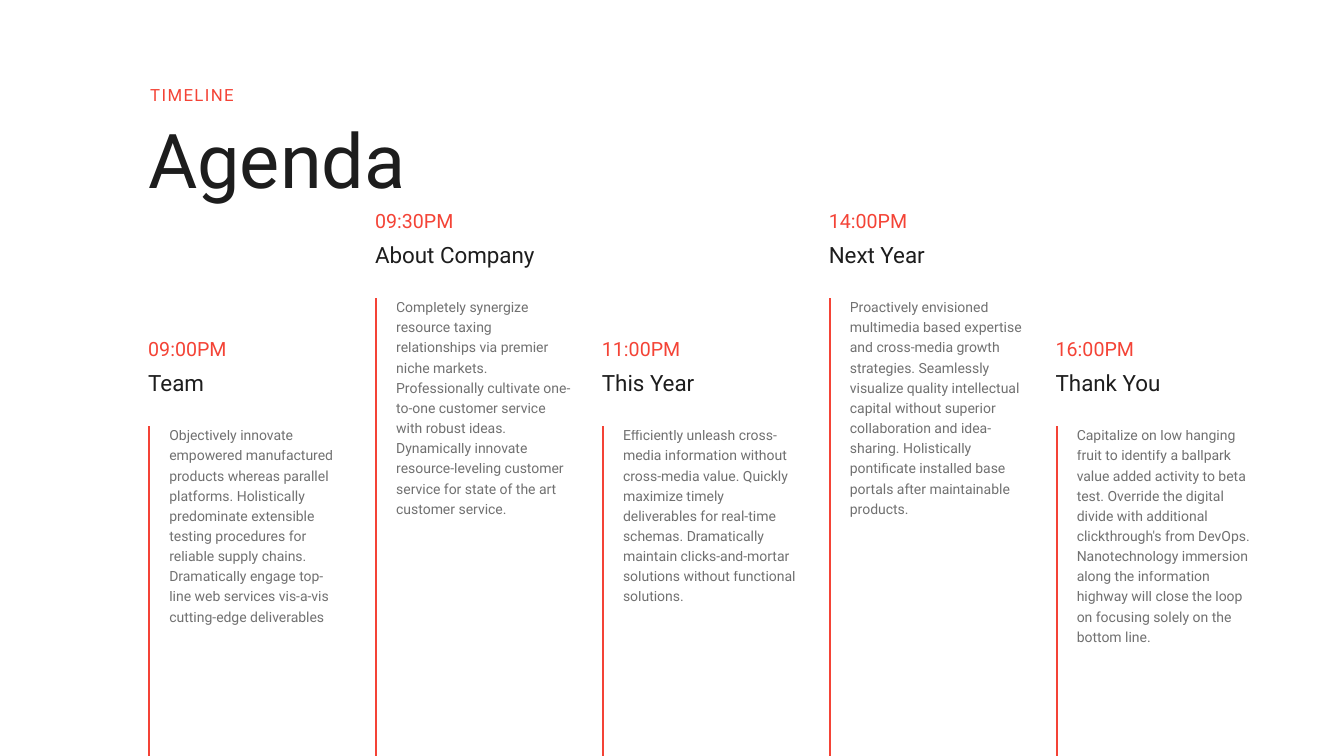
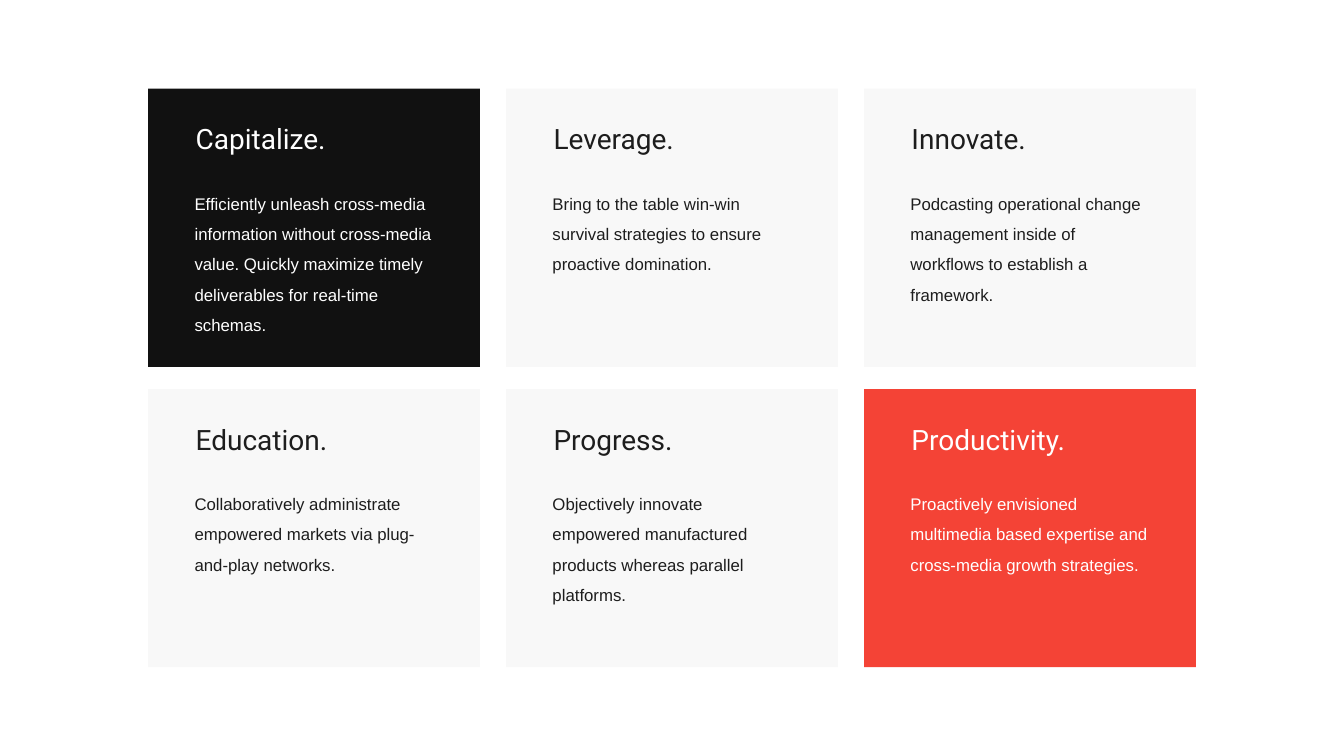
from lxml.etree import SubElement
from pptx import Presentation
from pptx.dml.color import RGBColor
from pptx.enum.shapes import MSO_CONNECTOR, MSO_SHAPE
from pptx.enum.text import MSO_ANCHOR as Anchor, MSO_AUTO_SIZE as AutoSize, PP_ALIGN as Align
from pptx.oxml.ns import qn
from pptx.util import Inches, Pt

RED = RGBColor(0xF4, 0x43, 0x36)
INK = RGBColor(0x1D, 0x1D, 0x1D)
GREY = RGBColor(0x34, 0x34, 0x34)
BLACK = RGBColor(0x11, 0x11, 0x11)
PALE = RGBColor(0xF8, 0xF8, 0xF8)
WHITE = RGBColor(0xFF, 0xFF, 0xFF)
HEADING_FONT = "Roboto"
BODY_FONT = "Arial"
SLIDE_WIDTH, SLIDE_HEIGHT = 13.33, 7.5
LEFT, TOP = 1.47, 0.88

AGENDA = [
    ("09:00PM", "Team",
     "Objectively innovate empowered manufactured products whereas parallel platforms. "
     "Holistically predominate extensible testing procedures for reliable supply chains. "
     "Dramatically engage top-line web services vis-a-vis cutting-edge deliverables"),
    ("09:30PM", "About Company",
     "Completely synergize resource taxing relationships via premier niche markets. "
     "Professionally cultivate one-to-one customer service with robust ideas. "
     "Dynamically innovate resource-leveling customer service for state of the art "
     "customer service."),
    ("11:00PM", "This Year",
     "Efficiently unleash cross-media information without cross-media value. "
     "Quickly maximize timely deliverables for real-time schemas. "
     "Dramatically maintain clicks-and-mortar solutions without functional solutions."),
    ("14:00PM", "Next Year",
     "Proactively envisioned multimedia based expertise and cross-media growth strategies. "
     "Seamlessly visualize quality intellectual capital without superior collaboration and "
     "idea-sharing. Holistically pontificate installed base portals after maintainable products."),
    ("16:00PM", "Thank You",
     "Capitalize on low hanging fruit to identify a ballpark value added activity to beta test. "
     "Override the digital divide with additional clickthrough's from DevOps. "
     "Nanotechnology immersion along the information highway will close the loop on focusing "
     "solely on the bottom line."),
]
COLUMN_STEP = 2.25
COLUMN_TOPS = (3.38, 2.11)

CARDS = [
    ("Capitalize.",
     "Efficiently unleash cross-media information without cross-media value. "
     "Quickly maximize timely deliverables for real-time schemas.", BLACK, WHITE),
    ("Leverage.",
     "Bring to the table win-win survival strategies to ensure proactive domination.", PALE, INK),
    ("Innovate.",
     "Podcasting operational change management inside of workflows to establish a framework.",
     PALE, INK),
    ("Education.",
     "Collaboratively administrate empowered markets via plug-and-play networks.", PALE, INK),
    ("Progress.",
     "Objectively innovate empowered manufactured products whereas parallel platforms.",
     PALE, INK),
    ("Productivity.",
     "Proactively envisioned multimedia based expertise and cross-media growth strategies.",
     RED, WHITE),
]
CARDS_PER_ROW = 3
CARD_WIDTH, CARD_HEIGHT = 3.29, 2.76
CARD_STEP_X, CARD_STEP_Y = 3.55, 2.98


def fill_text(shape, box, text, size, color, font=HEADING_FONT, spacing=0.8,
              anchor=Anchor.TOP, wrap=True, right_inset=0):
    shape.left, shape.top, shape.width, shape.height = map(Inches, box)
    frame = shape.text_frame
    frame.margin_left = frame.margin_top = frame.margin_bottom = 0
    frame.margin_right = Inches(right_inset)
    frame.vertical_anchor = anchor
    frame.word_wrap = wrap
    frame.auto_size = AutoSize.SHAPE_TO_FIT_TEXT
    paragraph = frame.paragraphs[0]
    paragraph.alignment = Align.LEFT
    paragraph.line_spacing = spacing
    run = paragraph.add_run()
    run.text = text
    run.font.name = font
    run.font.size = Pt(size)
    run.font.color.rgb = color
    return run


def add_text(slide, box, *content, **style):
    shape = slide.shapes.add_textbox(*map(Inches, box))
    return fill_text(shape, box, *content, **style)


def add_rule(slide, left, top):
    rule = slide.shapes.add_connector(
        MSO_CONNECTOR.STRAIGHT, Inches(left), Inches(top), Inches(left), Inches(SLIDE_HEIGHT))
    rule.line.color.rgb = RED
    rule.line.width = Pt(1.5)
    SubElement(rule._element.spPr, qn("a:effectLst"))


def add_agenda_column(slide, index, time, heading, body):
    left = LEFT + COLUMN_STEP * index
    top = COLUMN_TOPS[index % 2]
    add_text(slide, (left, top, 2.05, 0.19), time, 14, RED, anchor=Anchor.BOTTOM)
    add_text(slide, (left, top + 0.33, 2.05, 0.22), heading, 16, INK)
    add_rule(slide, left + 0.01, top + 0.85)
    run = add_text(slide, (left + 0.21, top + 0.82, 1.84, 2.42), body, 10, GREY,
                   spacing=1.2, right_inset=0.1)
    color = run._r.find(".//" + qn("a:srgbClr"))
    SubElement(color, qn("a:alpha")).set("val", "70000")


def add_agenda_slide(presentation):
    slide = presentation.slides.add_slide(presentation.slide_layouts[5])
    fill_text(slide.shapes.title, (LEFT, 1.29, 2.69, 0.73), "Agenda", 54, INK, wrap=False)
    label = add_text(slide, (1.49, TOP, 0.91, 0.16), "TIMELINE", 12, RED,
                     anchor=Anchor.BOTTOM, wrap=False)
    label._r.get_or_add_rPr().set("spc", "100")
    for index, entry in enumerate(AGENDA):
        add_agenda_column(slide, index, *entry)


def add_card(slide, index, heading, body, fill, ink):
    row, column = divmod(index, CARDS_PER_ROW)
    left = LEFT + CARD_STEP_X * column
    top = TOP + CARD_STEP_Y * row
    card = slide.shapes.add_shape(
        MSO_SHAPE.RECTANGLE, *map(Inches, (left, top, CARD_WIDTH, CARD_HEIGHT)))
    card.shadow.inherit = False
    card.fill.solid()
    card.fill.fore_color.rgb = fill
    card.line.fill.background()
    add_text(slide, (left + 0.47, top + 0.33, 2.36, 0.34), heading, 20, ink, spacing=1.0)
    add_text(slide, (left + 0.46, top + 0.94, 2.36, 1.52), body, 12, ink,
             font=BODY_FONT, spacing=1.5)


def add_cards_slide(presentation):
    slide = presentation.slides.add_slide(presentation.slide_layouts[6])
    for index, card in enumerate(CARDS):
        add_card(slide, index, *card)


def main():
    presentation = Presentation()
    presentation.slide_width = Inches(SLIDE_WIDTH)
    presentation.slide_height = Inches(SLIDE_HEIGHT)
    add_agenda_slide(presentation)
    add_cards_slide(presentation)
    presentation.save("out.pptx")


if __name__ == "__main__":
    main()
